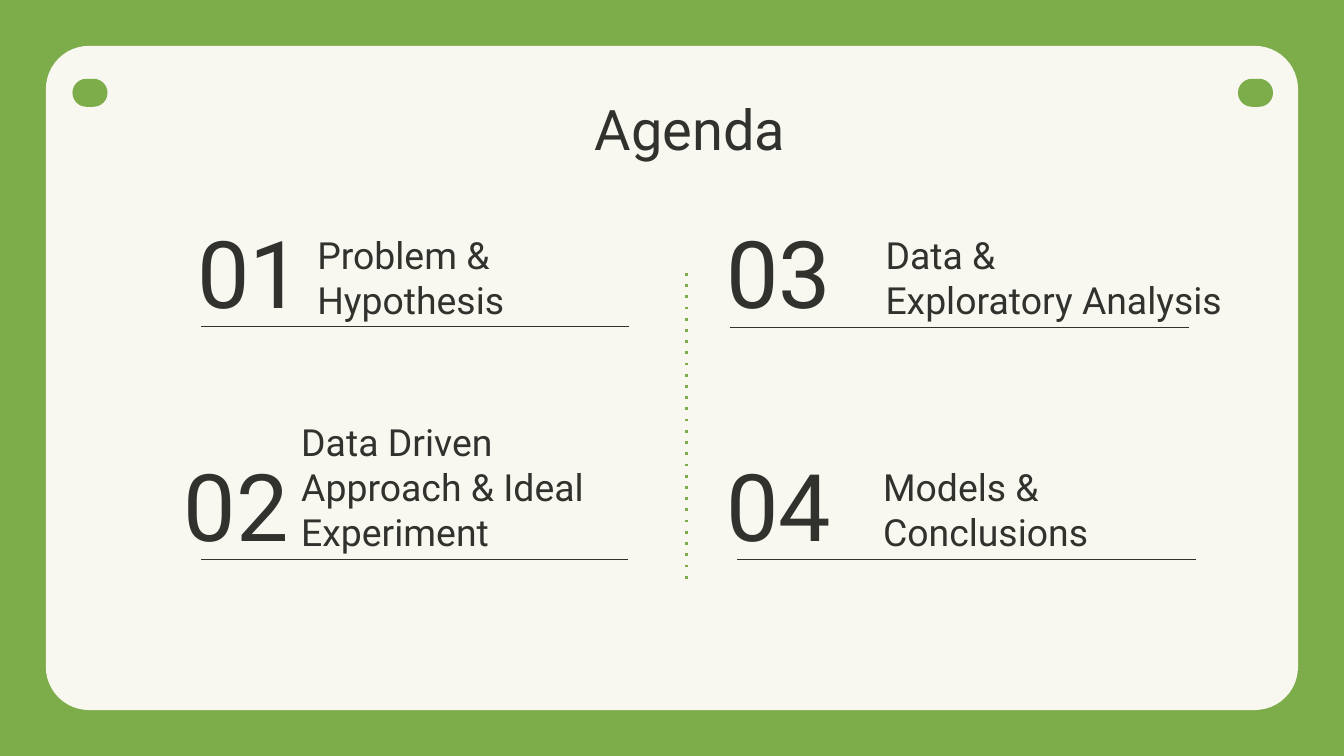
from dataclasses import dataclass

from lxml import etree
from pptx import Presentation
from pptx.dml.color import RGBColor
from pptx.enum.dml import MSO_LINE
from pptx.enum.shapes import MSO_CONNECTOR, MSO_SHAPE
from pptx.enum.text import MSO_ANCHOR, PP_ALIGN
from pptx.oxml.ns import qn
from pptx.util import Pt

ROUNDED = MSO_SHAPE.ROUNDED_RECTANGLE
STRAIGHT = MSO_CONNECTOR.STRAIGHT
DOTTED = MSO_LINE.ROUND_DOT
MIDDLE = MSO_ANCHOR.MIDDLE
LEFT, CENTER = PP_ALIGN.LEFT, PP_ALIGN.CENTER


@dataclass(frozen=True)
class Theme:
    green: RGBColor = RGBColor(0x7C, 0xAD, 0x4A)
    paper: RGBColor = RGBColor(0xF8, 0xF7, 0xF0)
    ink: RGBColor = RGBColor(0x31, 0x31, 0x2E)
    font: str = "Roboto"
    title_size: int = 30
    number_size: int = 50
    topic_size: int = 20


THEME = Theme()
TITLE_INSETS = (7.2, 7.2, 7.2, 7.2)
NUMBER_INSETS = (0, 7.2, 0, 7.2)
TOPIC_INSETS = (7.2, 28.8, 7.2, 7.2)
ROW_HEIGHT = 53.3
NUMBER_WIDTH = 77

# number, its left, top and insets; topic lines, their left, top and width; rule start, end and height
AGENDA = [
    ("01", 98.6, 118.8, TITLE_INSETS, ["Problem & Hypothesis"], 162.9, 110.9, 152, 107.8, 337, 174.8),
    ("02", 98.6, 243.4, NUMBER_INSETS, ["Data Driven Approach & Ideal Experiment"],
     154.3, 223.2, 205, 107.8, 336.4, 299.7),
    ("03", 389, 118.8, NUMBER_INSETS, ["Data &", "Exploratory Analysis"],
     467.3, 110.9, 201, 391, 637, 175.4),
    ("04", 389, 243.4, NUMBER_INSETS, ["Models & Conclusions"], 466, 235.4, 152, 395, 640.8, 299.7),
]


def add_rounded(page, left, top, width, height, roundness, color):
    shape = page.shapes.add_shape(ROUNDED, Pt(left), Pt(top), Pt(width), Pt(height))
    shape.adjustments[0] = roundness
    shape.shadow.inherit = False
    shape.fill.solid()
    shape.fill.fore_color.rgb = color
    shape.line.fill.background()


def add_text(page, lines, left, top, width, height, size, insets, align=LEFT):
    box = page.shapes.add_textbox(Pt(left), Pt(top), Pt(width), Pt(height))
    frame = box.text_frame
    frame.word_wrap = True
    frame.vertical_anchor = MIDDLE
    (frame.margin_left, frame.margin_top,
     frame.margin_right, frame.margin_bottom) = map(Pt, insets)
    for index, line in enumerate(lines):
        para = frame.add_paragraph() if index else frame.paragraphs[0]
        para.alignment = align
        span = para.add_run()
        span.text = line
        span.font.name = THEME.font
        span.font.size = Pt(size)
        span.font.color.rgb = THEME.ink


def add_line(page, x1, y1, x2, y2, color, weight):
    line = page.shapes.add_connector(STRAIGHT, Pt(x1), Pt(y1), Pt(x2), Pt(y2))
    line.line.color.rgb = color
    line.line.width = Pt(weight)
    etree.SubElement(line.element.spPr, qn("a:effectLst"))
    return line


def add_divider(page):
    divider = add_line(page, 367.9, 146.2, 367.9, 311, THEME.green, 1.5)
    divider.line.dash_style = DOTTED
    # The wide-spaced "dot" dash has no member in MSO_LINE.
    divider.element.spPr.find(".//" + qn("a:prstDash")).set("val", "dot")


def add_agenda_item(page, number, number_left, number_top, number_insets,
                    topic, topic_left, topic_top, topic_width,
                    rule_start, rule_end, rule_y):
    add_text(page, [number], number_left, number_top, NUMBER_WIDTH, ROW_HEIGHT,
             THEME.number_size, number_insets)
    add_text(page, topic, topic_left, topic_top, topic_width, ROW_HEIGHT,
             THEME.topic_size, TOPIC_INSETS)
    add_line(page, rule_start, rule_y, rule_end, rule_y, THEME.ink, 0.75)


def main():
    deck = Presentation()
    deck.slide_width, deck.slide_height = Pt(720), Pt(405)
    page = deck.slides.add_slide(deck.slide_layouts[6])
    page.background.fill.solid()
    page.background.fill.fore_color.rgb = THEME.green

    add_rounded(page, 24.6, 24.6, 670.8, 355.8, 0.065, THEME.paper)
    for pin_left in (38.8, 663.2):
        add_rounded(page, pin_left, 42.2, 18.8, 15, 0.5, THEME.green)

    add_text(page, ["Agenda"], 98.6, 49.7, 542.2, 38.2, THEME.title_size, TITLE_INSETS, CENTER)
    for item in AGENDA:
        add_agenda_item(page, *item)
    add_divider(page)
    deck.save("out.pptx")


if __name__ == "__main__":
    main()
